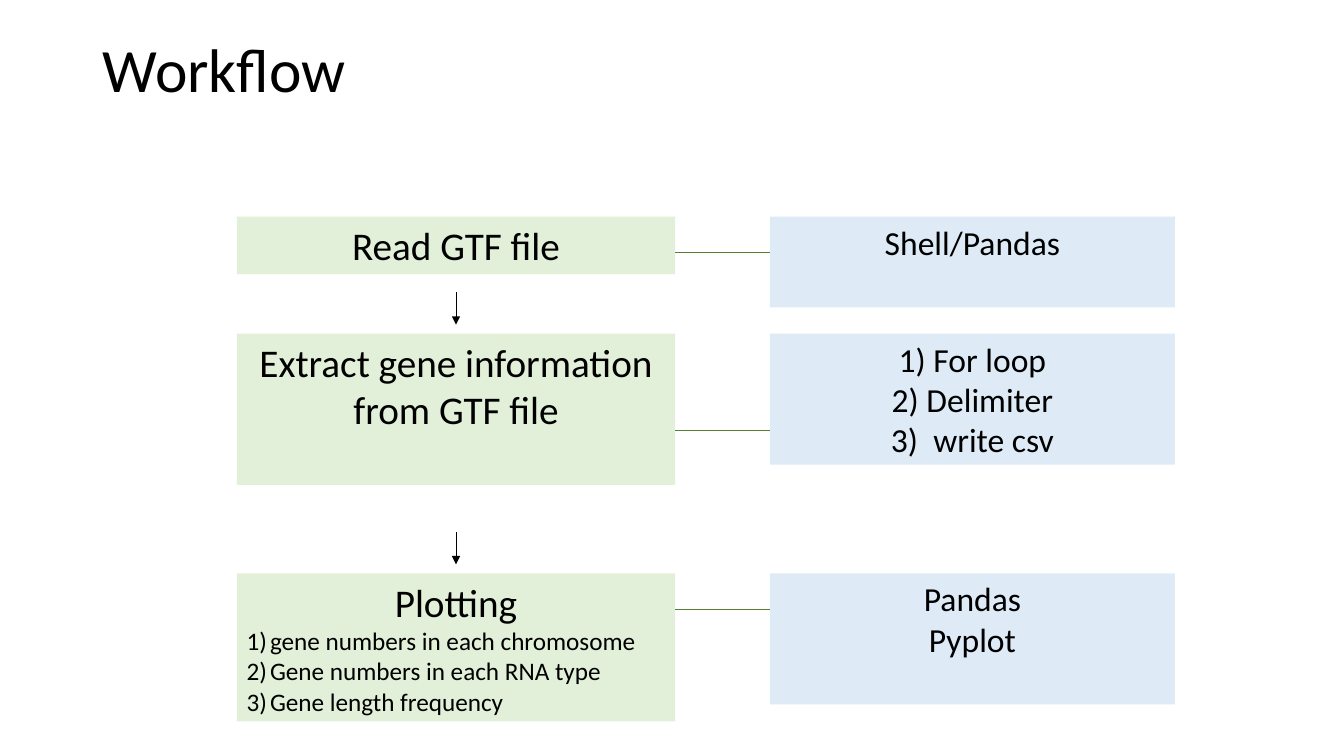
from lxml import etree
from pptx import Presentation
from pptx import util as u
from pptx.dml.color import RGBColor
from pptx.enum import shapes, text
from pptx.oxml.ns import qn

COLOURS = {"ink": "000000", "step": "E2F0D9", "tool": "DEEBF7", "link": "548235"}
FONT = "Calibri"
STEP_LEFT, STEP_WIDTH = 5.97, 11.05
TOOL_LEFT, TOOL_WIDTH = 19.41, 10.21
ARROW_LENGTH, ARROW_GAP = 0.81, 0.23
NUMBER_INDENT = 0.59

# top, step height, tool height, drop of the link below the top, heading, details, tools
STAGES = [
    (5.46, 1.45, 2.29, 0.89, "Read GTF file", [], ["Shell/Pandas"]),
    (8.41, 3.81, 3.3, 2.44, "Extract gene information from GTF file", [],
     ["1) For loop", "2) Delimiter", "3)  write csv"]),
    (14.45, 3.73, 3.3, 0.91, "Plotting",
     ["gene numbers in each chromosome", "Gene numbers in each RNA type",
      "Gene length frequency"],
     ["Pandas", "Pyplot"]),
]


def colour(name):
    return RGBColor.from_string(COLOURS[name])


def add_words(paragraph, words, size):
    run = paragraph.add_run()
    run.text = words
    run.font.name = FONT
    run.font.size = u.Pt(size)
    run.font.color.rgb = colour("ink")


def number_paragraph(paragraph):
    """Give the paragraph an automatic 1) 2) 3) number with a hanging indent."""
    properties = paragraph._p.get_or_add_pPr()
    indent = u.Cm(NUMBER_INDENT)
    properties.set("marL", str(indent))
    properties.set("indent", str(-indent))
    etree.SubElement(properties, qn("a:buFont"), typeface=FONT)
    etree.SubElement(properties, qn("a:buAutoNum"), type="arabicParenR")


def add_box(slide, left, top, width, height, fill, lines):
    """Draw a filled box; each line is (words, size, numbered)."""
    box = slide.shapes.add_shape(shapes.MSO_SHAPE.RECTANGLE, u.Cm(left), u.Cm(top),
                                 u.Cm(width), u.Cm(height))
    box.shadow.inherit = False
    box.fill.solid()
    box.fill.fore_color.rgb = colour(fill)
    box.line.fill.background()
    frame = box.text_frame
    frame.word_wrap = True
    frame.vertical_anchor = text.MSO_ANCHOR.TOP
    for index, (words, size, numbered) in enumerate(lines):
        paragraph = frame.add_paragraph() if index else frame.paragraphs[0]
        if numbered:
            paragraph.alignment = text.PP_ALIGN.LEFT
            number_paragraph(paragraph)
        else:
            paragraph.alignment = text.PP_ALIGN.CENTER
        add_words(paragraph, words, size)


def add_line(slide, start, end, ink, arrow=False):
    line = slide.shapes.add_connector(shapes.MSO_CONNECTOR.STRAIGHT,
                                      *(u.Cm(value) for value in (*start, *end)))
    line.line.color.rgb = colour(ink)
    line.line.width = u.Pt(0.5)
    if arrow:
        etree.SubElement(line.line._get_or_add_ln(), qn("a:tailEnd"), type="triangle")
    etree.SubElement(line._element.spPr, qn("a:effectLst"))


def add_title(slide, left, top, width, height):
    title = slide.shapes.title
    title.left, title.top = u.Cm(left), u.Cm(top)
    title.width, title.height = u.Cm(width), u.Cm(height)
    title.text_frame.vertical_anchor = text.MSO_ANCHOR.MIDDLE
    paragraph = title.text_frame.paragraphs[0]
    paragraph.alignment = text.PP_ALIGN.LEFT
    paragraph.line_spacing = 0.9
    add_words(paragraph, "Workflow", 44)


def add_stage(slide, top, step_height, tool_height, link_drop, heading, details, tools):
    """Draw one step, the tools beside it and the link between them."""
    step_lines = [(heading, 28, False)] + [(detail, 18, True) for detail in details]
    add_box(slide, STEP_LEFT, top, STEP_WIDTH, step_height, "step", step_lines)
    add_box(slide, TOOL_LEFT, top, TOOL_WIDTH, tool_height, "tool",
            [(tool, 24, False) for tool in tools])
    link_y = top + link_drop
    add_line(slide, (STEP_LEFT + STEP_WIDTH, link_y), (TOOL_LEFT, link_y), "link")


def add_arrow_above(slide, top):
    centre = STEP_LEFT + STEP_WIDTH / 2
    tip = top - ARROW_GAP
    add_line(slide, (centre, tip - ARROW_LENGTH), (centre, tip), "ink", arrow=True)


def main():
    deck = Presentation()
    deck.slide_width, deck.slide_height = u.Cm(33.88), u.Cm(19.05)
    slide = deck.slides.add_slide(deck.slide_layouts[5])
    add_title(slide, 2.34, 0, 29.21, 3.68)
    for stage in STAGES:
        add_stage(slide, *stage)
    for top, *_ in STAGES[1:]:
        add_arrow_above(slide, top)
    deck.save("out.pptx")


if __name__ == "__main__":
    main()
